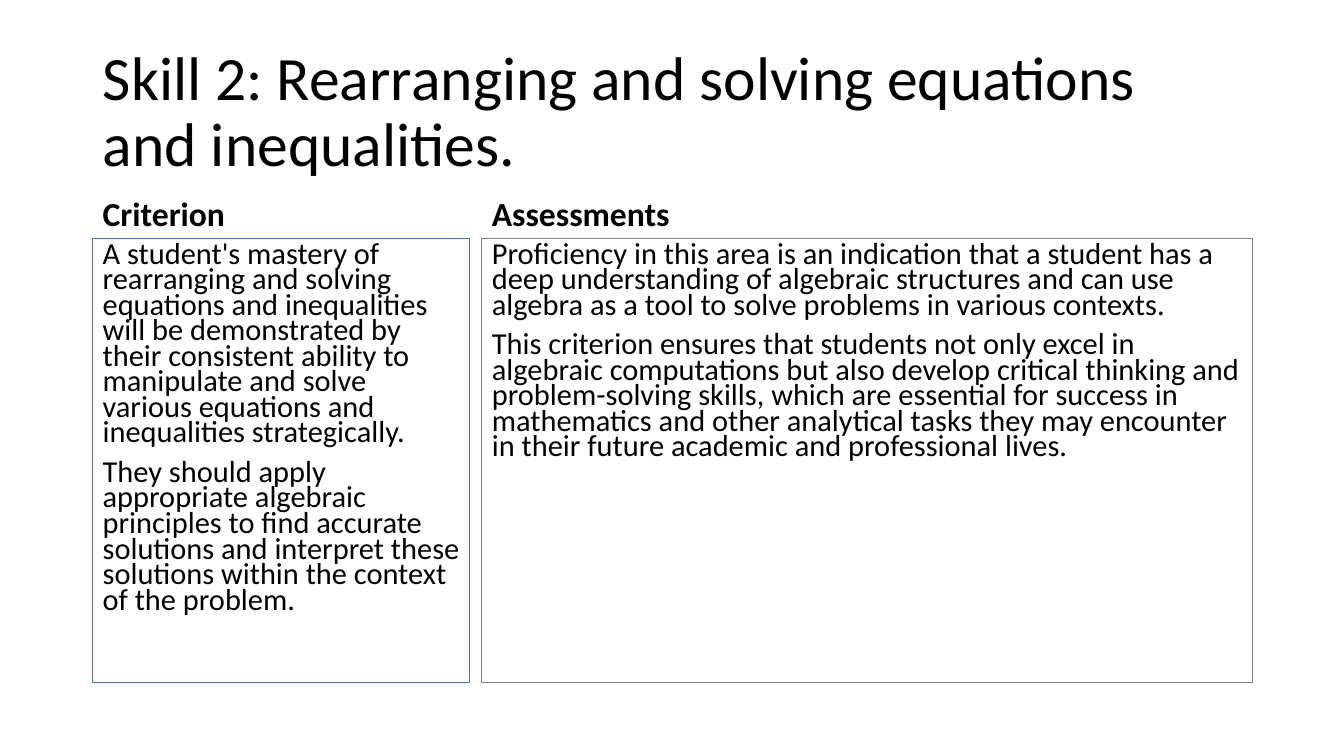
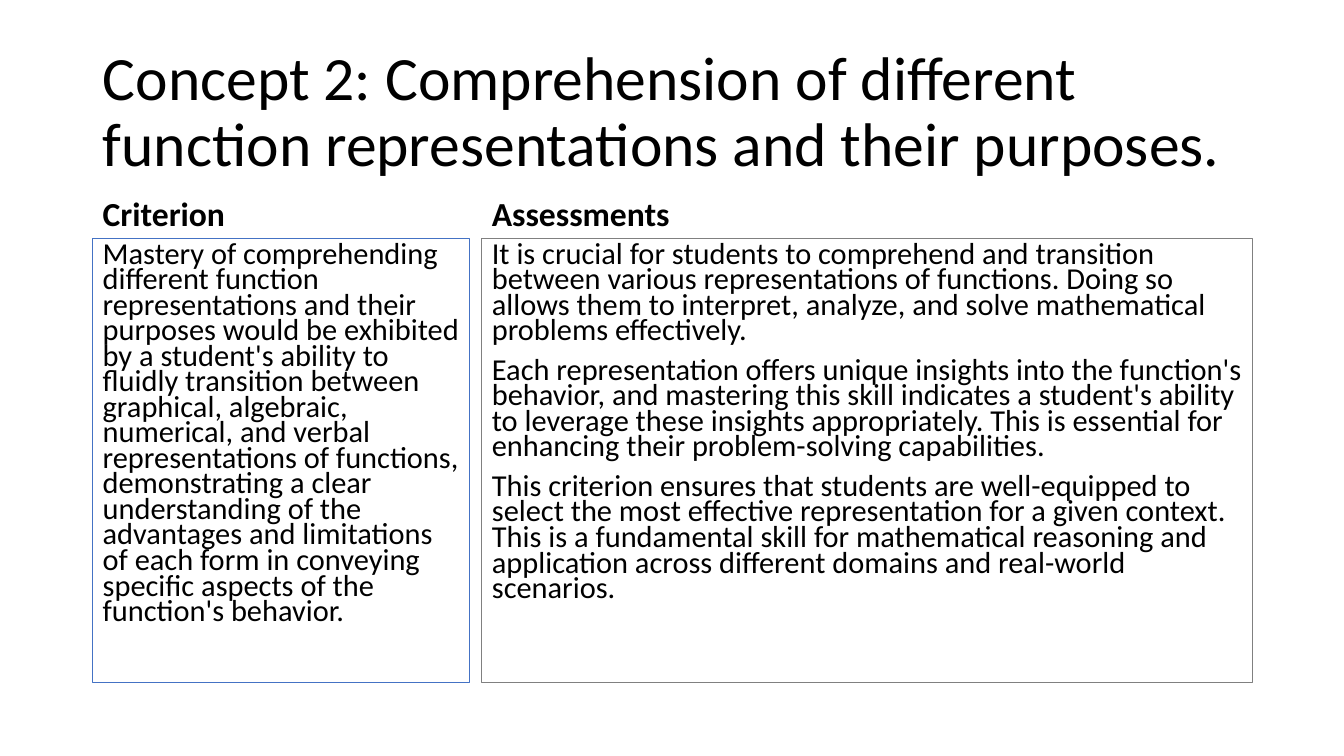
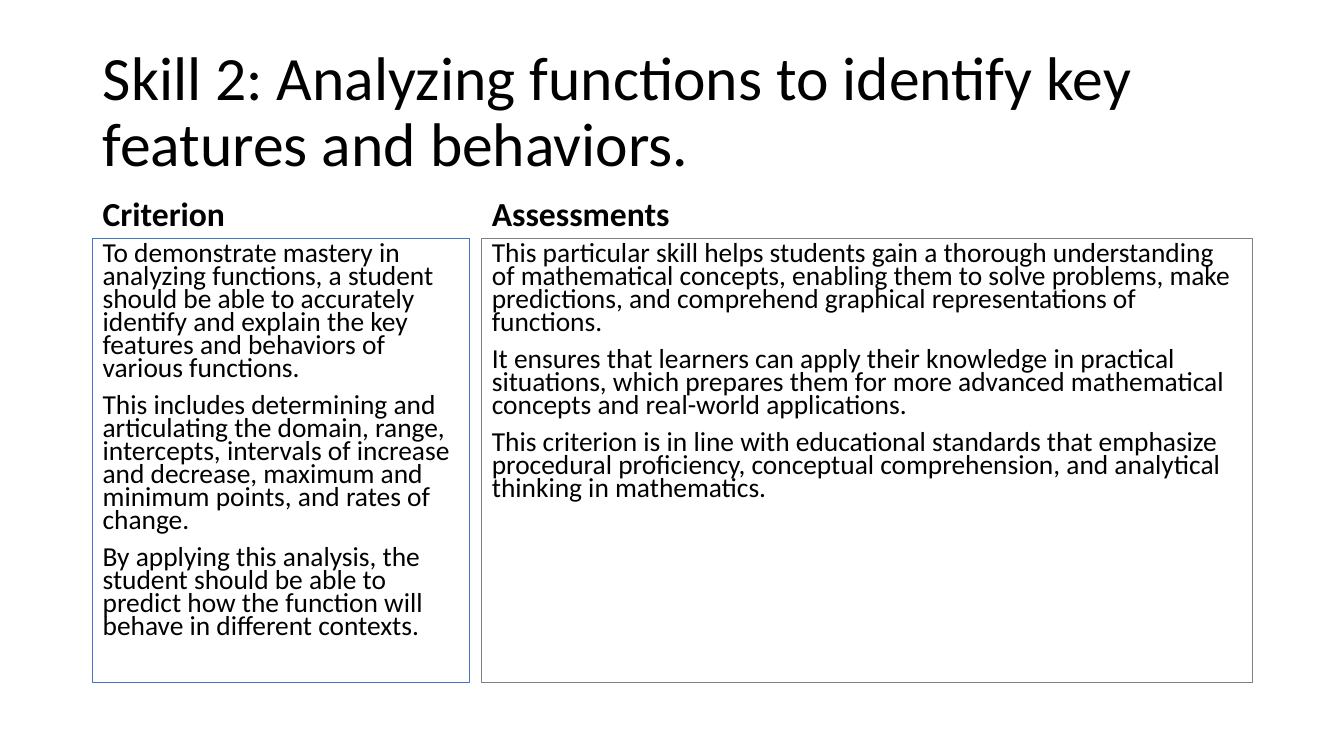
from dataclasses import dataclass

from pptx import Presentation
from pptx.dml.color import RGBColor
from pptx.enum.shapes import MSO_SHAPE
from pptx.enum.text import MSO_ANCHOR, MSO_AUTO_SIZE, PP_ALIGN
from pptx.slide import Slide
from pptx.text.text import TextFrame
from pptx.util import Emu, Inches, Pt

BLACK = RGBColor(0x00, 0x00, 0x00)
BLUE = RGBColor(0x44, 0x72, 0xC4)
GRAY = RGBColor(0x80, 0x80, 0x80)
FONT = "Calibri"
TITLE_ONLY = 5
SLIDE_WIDTH = Inches(13.33)
SLIDE_HEIGHT = Inches(7.5)


@dataclass(frozen=True)
class Area:
    """Percentages of the slide's width and height."""

    left: float
    top: float
    width: float
    height: float

    def box(self) -> tuple[Emu, Emu, Emu, Emu]:
        return (
            Emu(round(SLIDE_WIDTH * self.left / 100)),
            Emu(round(SLIDE_HEIGHT * self.top / 100)),
            Emu(round(SLIDE_WIDTH * self.width / 100)),
            Emu(round(SLIDE_HEIGHT * self.height / 100)),
        )


@dataclass(frozen=True)
class TextStyle:
    size: float
    line_spacing: float
    space_before: float
    anchor: MSO_ANCHOR
    bold: bool = False


@dataclass(frozen=True)
class Column:
    heading: str
    left: float
    width: float
    outline: RGBColor


@dataclass(frozen=True)
class Standard:
    title: str
    body_size: float
    criterion: list[str]
    assessments: list[str]


MARGIN = 6.9
CONTENT_WIDTH = 86.27
CRITERION_WIDTH = 28.06
COLUMN_GAP = 0.9
HEADING_TOP = 23.73
HEADING_HEIGHT = 7.87
PANEL_TOP = HEADING_TOP + HEADING_HEIGHT
PANEL_HEIGHT = 58.67
TITLE_AREA = Area(MARGIN, 5.33, CONTENT_WIDTH, 19.33)

TITLE_STYLE = TextStyle(44, 0.9, 0, MSO_ANCHOR.MIDDLE)
HEADING_STYLE = TextStyle(24, 0.9, 10, MSO_ANCHOR.BOTTOM, bold=True)

CRITERION = Column("Criterion", MARGIN, CRITERION_WIDTH, BLUE)
ASSESSMENTS = Column(
    "Assessments",
    MARGIN + CRITERION_WIDTH + COLUMN_GAP,
    CONTENT_WIDTH - CRITERION_WIDTH - COLUMN_GAP,
    GRAY,
)

STANDARDS = [
    Standard(
        "Skill 2: Rearranging and solving equations and inequalities.",
        21.7,
        [
            "A student's mastery of rearranging and solving equations and inequalities "
            "will be demonstrated by their consistent ability to manipulate and solve "
            "various equations and inequalities strategically.",
            "They should apply appropriate algebraic principles to find accurate "
            "solutions and interpret these solutions within the context of the problem.",
        ],
        [
            "Proficiency in this area is an indication that a student has a deep "
            "understanding of algebraic structures and can use algebra as a tool to "
            "solve problems in various contexts.",
            "This criterion ensures that students not only excel in algebraic "
            "computations but also develop critical thinking and problem-solving "
            "skills, which are essential for success in mathematics and other "
            "analytical tasks they may encounter in their future academic and "
            "professional lives.",
        ],
    ),
    Standard(
        "Concept 2: Comprehension of different function representations and their purposes.",
        21.7,
        [
            "Mastery of comprehending different function representations and their "
            "purposes would be exhibited by a student's ability to fluidly transition "
            "between graphical, algebraic, numerical, and verbal representations of "
            "functions, demonstrating a clear understanding of the advantages and "
            "limitations of each form in conveying specific aspects of the function's "
            "behavior.",
        ],
        [
            "It is crucial for students to comprehend and transition between various "
            "representations of functions. Doing so allows them to interpret, analyze, "
            "and solve mathematical problems effectively.",
            "Each representation offers unique insights into the function's behavior, "
            "and mastering this skill indicates a student's ability to leverage these "
            "insights appropriately. This is essential for enhancing their "
            "problem-solving capabilities.",
            "This criterion ensures that students are well-equipped to select the most "
            "effective representation for a given context. This is a fundamental skill "
            "for mathematical reasoning and application across different domains and "
            "real-world scenarios.",
        ],
    ),
    Standard(
        "Skill 2: Analyzing functions to identify key features and behaviors.",
        19.6,
        [
            "To demonstrate mastery in analyzing functions, a student should be able to "
            "accurately identify and explain the key features and behaviors of various "
            "functions.",
            "This includes determining and articulating the domain, range, intercepts, "
            "intervals of increase and decrease, maximum and minimum points, and rates "
            "of change.",
            "By applying this analysis, the student should be able to predict how the "
            "function will behave in different contexts.",
        ],
        [
            "This particular skill helps students gain a thorough understanding of "
            "mathematical concepts, enabling them to solve problems, make predictions, "
            "and comprehend graphical representations of functions.",
            "It ensures that learners can apply their knowledge in practical "
            "situations, which prepares them for more advanced mathematical concepts "
            "and real-world applications.",
            "This criterion is in line with educational standards that emphasize "
            "procedural proficiency, conceptual comprehension, and analytical thinking "
            "in mathematics.",
        ],
    ),
]


def write(frame: TextFrame, paragraphs: list[str], style: TextStyle) -> None:
    frame.word_wrap = True
    frame.auto_size = MSO_AUTO_SIZE.NONE
    frame.vertical_anchor = style.anchor
    for index, text in enumerate(paragraphs):
        paragraph = frame.add_paragraph() if index else frame.paragraphs[0]
        paragraph.alignment = PP_ALIGN.LEFT
        paragraph.line_spacing = style.line_spacing
        paragraph.space_before = Pt(style.space_before)
        run = paragraph.add_run()
        run.text = text
        run.font.name = FONT
        run.font.size = Pt(style.size)
        run.font.bold = style.bold
        run.font.color.rgb = BLACK


def add_title(slide: Slide, text: str) -> None:
    title = slide.shapes.title
    title.left, title.top, title.width, title.height = TITLE_AREA.box()
    write(title.text_frame, [text], TITLE_STYLE)


def add_column(slide: Slide, column: Column, paragraphs: list[str], size: float) -> None:
    heading_area = Area(column.left, HEADING_TOP, column.width, HEADING_HEIGHT)
    heading = slide.shapes.add_textbox(*heading_area.box())
    write(heading.text_frame, [column.heading], HEADING_STYLE)

    panel_area = Area(column.left, PANEL_TOP, column.width, PANEL_HEIGHT)
    panel = slide.shapes.add_shape(MSO_SHAPE.RECTANGLE, *panel_area.box())
    panel.shadow.inherit = False
    panel.fill.background()
    panel.line.color.rgb = column.outline
    panel.line.width = Pt(0.75)
    write(panel.text_frame, paragraphs, TextStyle(size, 0.7, 10, MSO_ANCHOR.TOP))


def main() -> None:
    presentation = Presentation()
    presentation.slide_width = SLIDE_WIDTH
    presentation.slide_height = SLIDE_HEIGHT
    for standard in STANDARDS:
        slide = presentation.slides.add_slide(presentation.slide_layouts[TITLE_ONLY])
        add_title(slide, standard.title)
        add_column(slide, CRITERION, standard.criterion, standard.body_size)
        add_column(slide, ASSESSMENTS, standard.assessments, standard.body_size)
    presentation.save("out.pptx")


if __name__ == "__main__":
    main()
